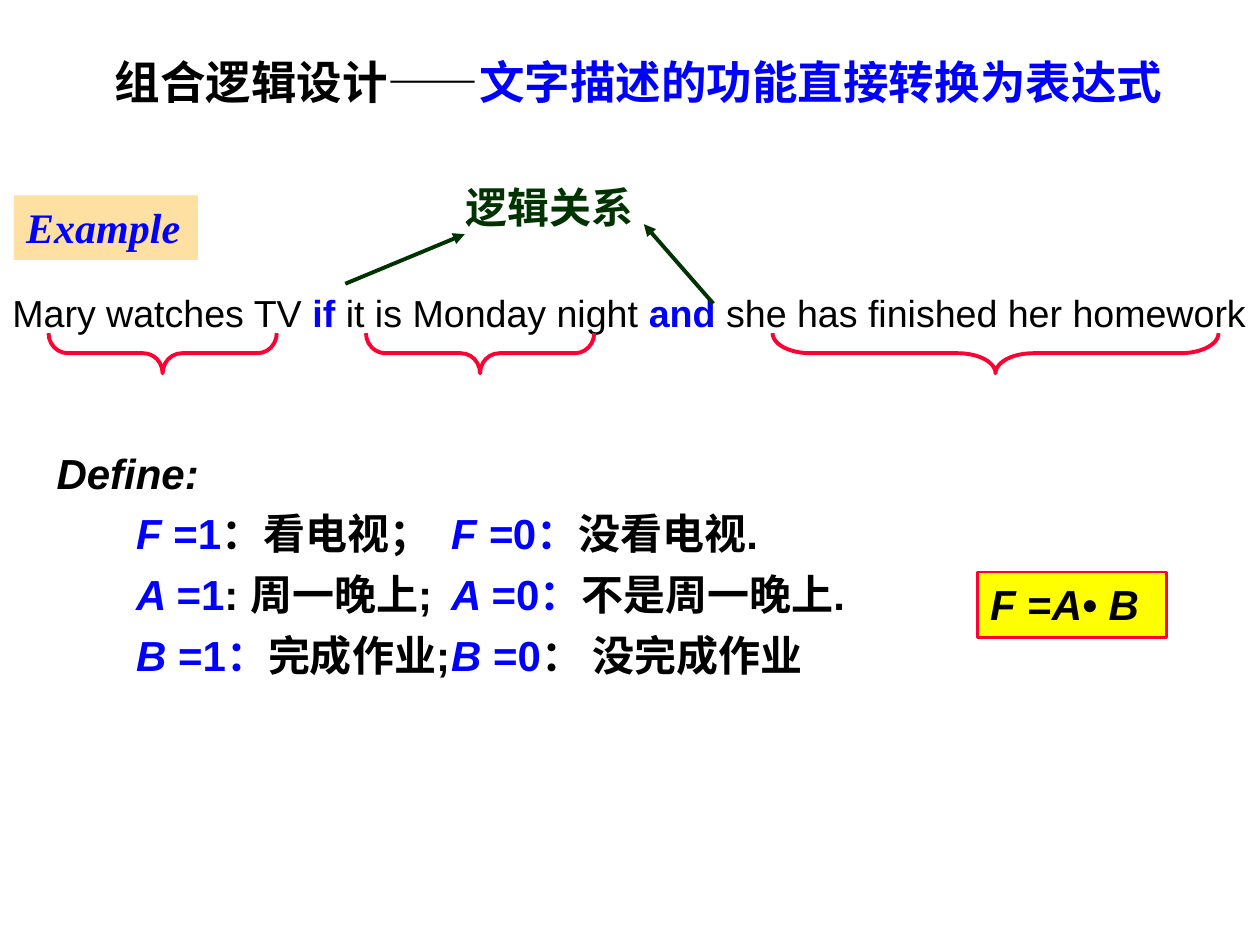
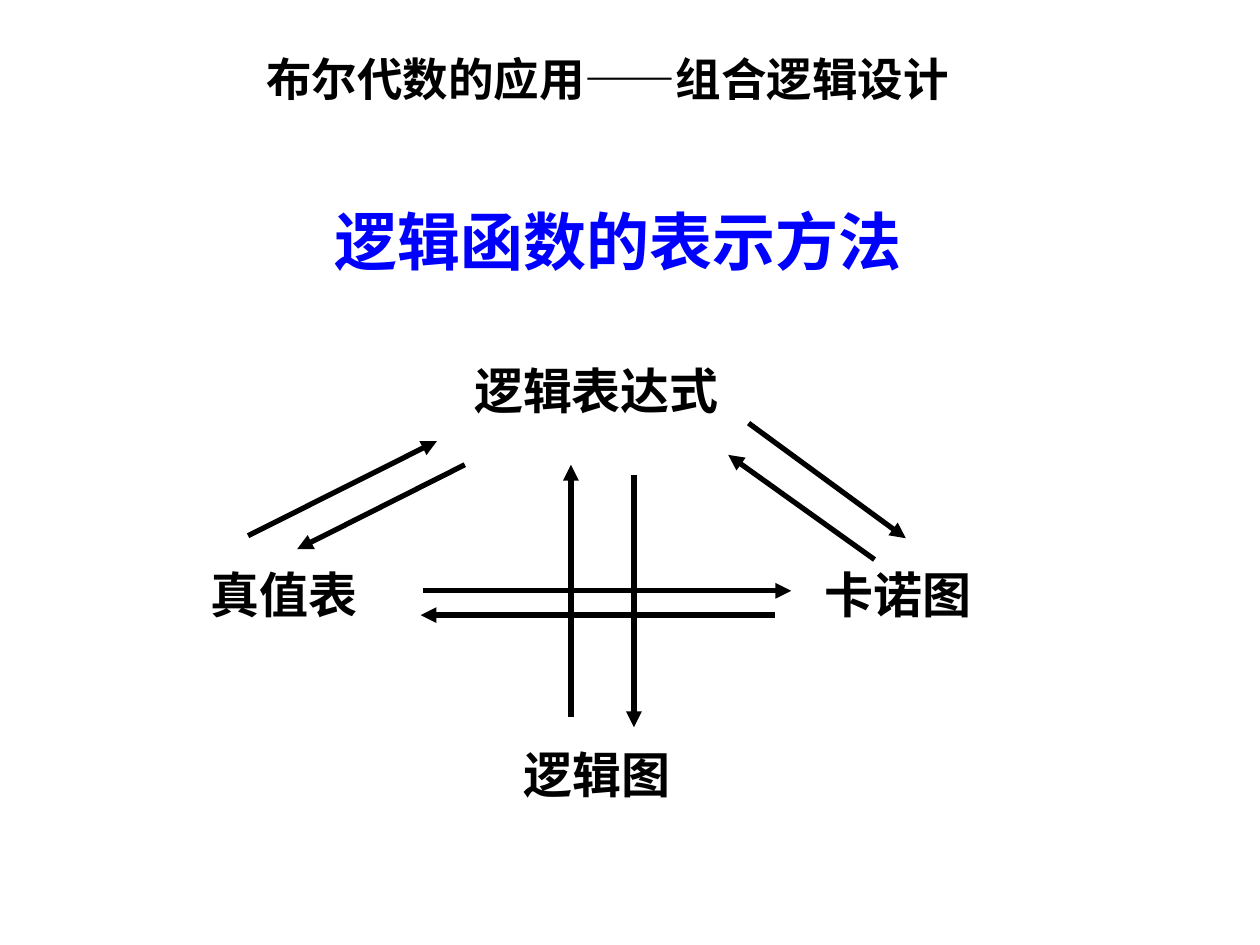
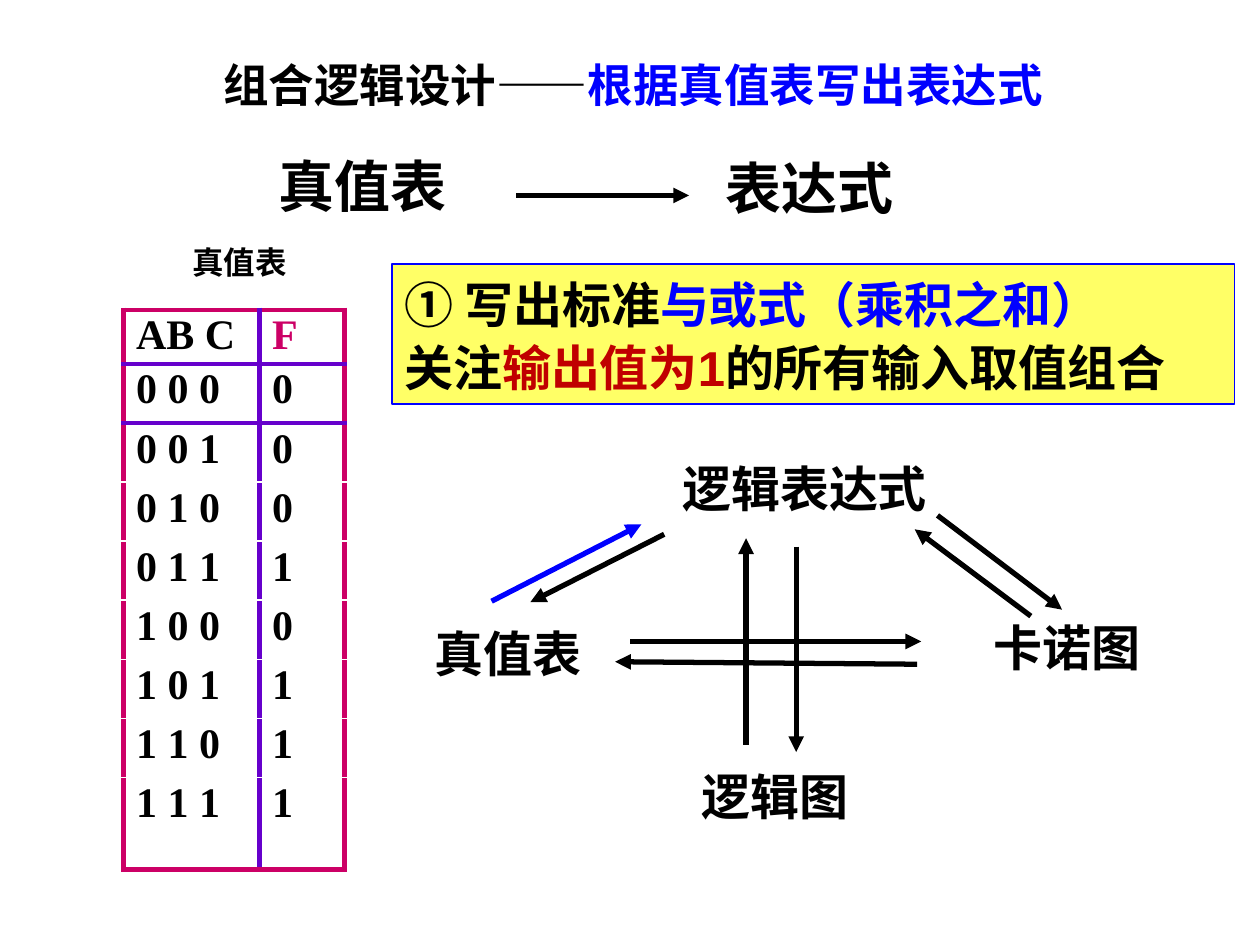
from dataclasses import dataclass
from itertools import product
from typing import Optional

from lxml.etree import SubElement
from pptx import Presentation
from pptx.dml.color import RGBColor
from pptx.enum.shapes import MSO_CONNECTOR, MSO_SHAPE
from pptx.enum.text import MSO_ANCHOR, MSO_AUTO_SIZE, PP_ALIGN
from pptx.oxml.ns import qn
from pptx.util import Cm, Pt

# Shared colours and fonts
BLACK, WHITE, BLUE = "000000", "FFFFFF", "0000FF"
GREEN, RED, DARK_RED = "003300", "FF0033", "C00000"
YELLOW, PALE_YELLOW, SAND = "FFFF00", "FFFF66", "FFE0A3"
MAGENTA, PURPLE = "CC0066", "6600CC"
SANS, SERIF, CHINESE = "Arial", "Times New Roman", "Noto Sans CJK SC"
LEFT, CENTER = PP_ALIGN.LEFT, PP_ALIGN.CENTER
TITLE_ONLY, TITLE_AND_BODY = 5, 1


@dataclass
class Span:
    """A stretch of text; None keeps the look of its paragraph."""
    text: str
    color: Optional[str] = None
    bold: Optional[bool] = None
    italic: Optional[bool] = None


@dataclass
class Style:
    size: float = 24
    color: str = BLACK
    font: str = SANS
    bold: bool = True
    italic: bool = False
    align: PP_ALIGN = LEFT


@dataclass
class Box:
    """Place and size in centimetres."""
    left: float
    top: float
    width: float
    height: float

    def lengths(self) -> tuple:
        return Cm(self.left), Cm(self.top), Cm(self.width), Cm(self.height)


@dataclass
class Label:
    box: Box
    spans: list
    style: Style


@dataclass
class Panel:
    label: Label
    fill: str
    border: Optional[str] = None
    border_width: float = 1


@dataclass
class Arrow:
    """Runs from (x1, y1) to the head at (x2, y2), in centimetres."""
    x1: float
    y1: float
    x2: float
    y2: float
    color: str = BLACK
    width: float = 3


NODE = Style(28)
NODE_CENTERED = Style(28, align=CENTER)


def rgb(color: str) -> RGBColor:
    return RGBColor.from_string(color)


# Text
def write_paragraph(paragraph, spans: list, style: Style) -> None:
    paragraph.alignment = style.align
    paragraph.space_before = Pt(0)
    font = paragraph.font
    font.size, font.name = Pt(style.size), style.font
    font.bold, font.italic = style.bold, style.italic
    font.color.rgb = rgb(style.color)
    SubElement(paragraph._p.pPr.find(qn("a:defRPr")), qn("a:ea"), typeface=CHINESE)
    for span in spans:
        run = paragraph.add_run()
        run.text = span.text
        if span.color:
            run.font.color.rgb = rgb(span.color)
        if span.bold is not None:
            run.font.bold = span.bold
        if span.italic is not None:
            run.font.italic = span.italic


def write(frame, lines: list, style: Style) -> None:
    frame.word_wrap = True
    frame.auto_size = MSO_AUTO_SIZE.NONE
    frame.vertical_anchor = MSO_ANCHOR.TOP
    for index, spans in enumerate(lines):
        paragraph = frame.add_paragraph() if index else frame.paragraphs[0]
        write_paragraph(paragraph, spans, style)


def place(shape, box: Box) -> None:
    shape.left, shape.top, shape.width, shape.height = box.lengths()


def add_titled_slide(deck, layout: int, box: Box, spans: list, align: PP_ALIGN = LEFT):
    slide = deck.slides.add_slide(deck.slide_layouts[layout])
    place(slide.shapes.title, box)
    write(slide.shapes.title.text_frame, [spans], Style(26, align=align))
    return slide


def fill_body(slide, box: Box, lines: list, tab: float) -> None:
    """Unbulleted list whose second column starts at the tab stop."""
    body = slide.placeholders[1]
    place(body, box)
    write(body.text_frame, lines, Style(24))
    for paragraph in body.text_frame.paragraphs:
        paragraph.space_after = Pt(6)
        properties = paragraph._p.pPr
        properties.set("marL", "0")
        properties.set("indent", "0")
        no_bullet = SubElement(properties, qn("a:buNone"))
        tabs = SubElement(properties, qn("a:tabLst"))
        SubElement(tabs, qn("a:tab"), pos=str(Cm(tab)), algn="l")
        default_font = properties.find(qn("a:defRPr"))
        default_font.addprevious(no_bullet)
        default_font.addprevious(tabs)


# Drawing
def draw_label(slide, label: Label) -> None:
    shape = slide.shapes.add_textbox(*label.box.lengths())
    write(shape.text_frame, [label.spans], label.style)


def draw_panel(slide, panel: Panel, *more_lines: list):
    label = panel.label
    shape = slide.shapes.add_shape(MSO_SHAPE.RECTANGLE, *label.box.lengths())
    shape.shadow.inherit = False
    shape.fill.solid()
    shape.fill.fore_color.rgb = rgb(panel.fill)
    if panel.border:
        shape.line.color.rgb = rgb(panel.border)
        shape.line.width = Pt(panel.border_width)
    else:
        shape.line.fill.background()
    write(shape.text_frame, [label.spans, *more_lines], label.style)
    return shape


def draw_arrow(slide, arrow: Arrow) -> None:
    connector = slide.shapes.add_connector(
        MSO_CONNECTOR.STRAIGHT,
        Cm(arrow.x1), Cm(arrow.y1), Cm(arrow.x2), Cm(arrow.y2))
    connector.line.color.rgb = rgb(arrow.color)
    connector.line.width = Pt(arrow.width)
    SubElement(connector.line._ln, qn("a:tailEnd"), type="triangle")
    SubElement(connector._element.spPr, qn("a:effectLst"))


def draw_brace(slide, center: float, span: float, curve: float) -> None:
    """Brace under the sentence, a left brace turned to point down."""
    depth, middle = 0.81, 7.12
    box = Box(center - depth / 2, middle - span / 2, depth, span)
    brace = slide.shapes.add_shape(MSO_SHAPE.LEFT_BRACE, *box.lengths())
    brace.rotation = 270
    brace.adjustments[0] = curve
    brace.shadow.inherit = False
    brace.fill.background()
    brace.line.color.rgb = rgb(RED)
    brace.line.width = Pt(2.25)


def draw_diagram(slide, nodes: list, arrows: list) -> None:
    for node in nodes:
        draw_label(slide, node)
    for arrow in arrows:
        draw_arrow(slide, arrow)


def draw_border(cell, side: str, color: str) -> None:
    line = SubElement(cell._tc.get_or_add_tcPr(), qn(f"a:{side}"), w=str(Pt(3)))
    SubElement(SubElement(line, qn("a:solidFill")), qn("a:srgbClr"), val=color)


def draw_truth_table(slide) -> None:
    rows = [("AB C", "F")]
    for inputs in product((0, 1), repeat=3):
        rows.append((" ".join(map(str, inputs)), str(int(sum(inputs) >= 2))))
    last = len(rows) - 1
    box = Box(2.49, 6.25, 4.45, 11.28)
    table = slide.shapes.add_table(len(rows), 2, *box.lengths()).table
    table.first_row = table.horz_banding = False
    table.columns[0].width, table.columns[1].width = Cm(2.74), Cm(1.71)
    for r, values in enumerate(rows):
        table.rows[r].height = Cm({0: 1.09, last: 1.86}.get(r, 1.19))
        for c, value in enumerate(values):
            cell = table.cell(r, c)
            cell.margin_top = cell.margin_bottom = Cm(0.05)
            color = MAGENTA if (r, c) == (0, 1) else BLACK
            write_paragraph(cell.text_frame.paragraphs[0], [Span(value)],
                            Style(24, color, SERIF))
            draw_border(cell, "lnL", PURPLE if c else MAGENTA)
            draw_border(cell, "lnR", MAGENTA if c else PURPLE)
            if r < 2:
                draw_border(cell, "lnT", PURPLE if r else MAGENTA)
            if r in (0, last):
                draw_border(cell, "lnB", MAGENTA if r else PURPLE)
            cell.fill.solid()
            cell.fill.fore_color.rgb = rgb(WHITE)


# Slides
def build_sentence_slide(deck) -> None:
    slide = add_titled_slide(
        deck, TITLE_AND_BODY, Box(2.06, 0.97, 23.34, 1.36),
        [Span("组合逻辑设计——"), Span("文字描述的功能直接转换为表达式", BLUE)])

    # Sentence with its parts marked
    draw_label(slide, Label(
        Box(0, 5.72, 26.11, 1.19),
        [Span("Mary watches TV "), Span("if", BLUE, True),
         Span(" it is Monday night "), Span("and", BLUE, True),
         Span(" she has finished her homework")],
        Style(21.5, bold=False)))
    for center, span, curve in ((3.28, 4.6, 0.48), (9.68, 4.6, 0.48), (20.07, 8.99, 0.94)):
        draw_brace(slide, center, span, curve)
    draw_label(slide, Label(Box(7.98, 3.53, 6.2, 1.27), [Span("逻辑关系")],
                            Style(24, GREEN, align=CENTER)))
    draw_arrow(slide, Arrow(6.96, 5.72, 9.37, 4.72, GREEN, 2.25))
    draw_arrow(slide, Arrow(14.38, 6.12, 12.98, 4.52, GREEN, 2.25))

    # Definitions of the variables
    draw_label(slide, Label(Box(0.89, 8.89, 4.19, 1.27), [Span("Define:")],
                            Style(24, italic=True)))
    fill_body(slide, Box(2.49, 10.11, 17.81, 4.37), [
        [Span("F ", BLUE, italic=True), Span("=1", BLUE), Span("：看电视；\t"),
         Span("F =", BLUE, italic=True), Span("0：", BLUE), Span("没看电视.")],
        [Span("A ", BLUE, italic=True), Span("=1", BLUE), Span(": 周一晚上;\t"),
         Span("A ", BLUE, italic=True), Span("=0：", BLUE), Span("不是周一晚上.")],
        [Span("B ", BLUE, italic=True), Span("=1：", BLUE), Span("完成作业;\t"),
         Span("B ", BLUE, italic=True), Span("=0", BLUE), Span("： 没完成作业")],
    ], tab=7.2)

    # Formula and example tag
    draw_panel(slide, Panel(
        Label(Box(19.71, 11.53, 3.81, 1.32),
              [Span("F "), Span("=", italic=False), Span("A• B")],
              Style(24, italic=True)), YELLOW, RED, 1.5))
    draw_panel(slide, Panel(
        Label(Box(0.28, 3.94, 3.71, 1.3), [Span("Example")],
              Style(24, BLUE, SERIF, italic=True)), SAND))


def build_methods_slide(deck) -> None:
    slide = add_titled_slide(deck, TITLE_ONLY, Box(5.11, 0.91, 15.19, 1.36),
                             [Span("布尔代数的应用——组合逻辑设计")])
    draw_label(slide, Label(Box(4.78, 3.96, 15.37, 1.8), [Span("逻辑函数的表示方法")],
                            Style(36, BLUE, CHINESE, align=CENTER)))
    draw_diagram(slide, [
        Label(Box(8.53, 7.14, 6.99, 1.45), [Span("逻辑表达式")], NODE_CENTERED),
        Label(Box(10.31, 14.88, 5.08, 1.45), [Span("逻辑图")], NODE),
        Label(Box(3.99, 11.25, 4.93, 1.45), [Span("真值表")], NODE),
        Label(Box(16.38, 11.25, 4.83, 1.45), [Span("卡诺图")], NODE),
    ], [
        Arrow(11.51, 14.45, 11.51, 9.37),
        Arrow(12.78, 9.58, 12.78, 14.66),
        Arrow(8.53, 11.91, 15.95, 11.91),
        Arrow(15.62, 12.4, 8.48, 12.4),
        Arrow(5, 10.8, 8.81, 8.89),
        Arrow(9.37, 9.37, 5.99, 11.07),
        Arrow(15.09, 8.53, 18.26, 10.85),
        Arrow(17.63, 11.28, 14.68, 9.17),
    ])


def build_truth_table_slide(deck) -> None:
    slide = add_titled_slide(
        deck, TITLE_ONLY, Box(0.13, 1.02, 25.27, 1.36),
        [Span("组合逻辑设计——"), Span("根据真值表写出表达式", BLUE)], CENTER)

    # Diagram of the conversions
    draw_diagram(slide, [
        Label(Box(12.7, 9.12, 7.04, 1.45), [Span("逻辑表达式")], NODE_CENTERED),
        Label(Box(13.89, 15.32, 4.78, 1.45), [Span("逻辑图")], NODE),
        Label(Box(8.51, 12.45, 4.45, 1.45), [Span("真值表")], NODE),
        Label(Box(18.9, 12.32, 5.21, 1.45), [Span("卡诺图")], NODE_CENTERED),
    ], [
        Arrow(15.04, 15.01, 15.04, 10.85),
        Arrow(16.05, 11.02, 16.05, 15.16),
        Arrow(12.7, 12.93, 18.57, 12.93),
        Arrow(18.49, 13.39, 12.4, 13.34),
        Arrow(9.91, 12.12, 12.93, 10.57, BLUE),
        Arrow(13.39, 10.77, 10.69, 12.14),
        Arrow(18.9, 10.39, 21.41, 12.29),
        Arrow(20.78, 12.42, 18.44, 10.67),
    ])

    # Heading: from table to expression
    heading = Style(32, font=SERIF)
    draw_label(slide, Label(Box(5.37, 2.92, 8.04, 1.6), [Span("真值表")], heading))
    draw_label(slide, Label(Box(14.38, 2.97, 5.74, 1.63), [Span("表达式")], heading))
    draw_arrow(slide, Arrow(10.41, 3.94, 13.89, 3.94))

    # Truth table and its caption
    draw_truth_table(slide)
    draw_label(slide, Label(Box(2.92, 4.78, 3.81, 1.02), [Span("真值表")],
                            Style(18, font=SERIF, align=CENTER)))

    # First step
    step = draw_panel(
        slide,
        Panel(Label(Box(7.9, 5.33, 16.99, 2.82),
                    [Span("① 写出标准"), Span("与或式（乘积之和）", BLUE)], NODE),
              PALE_YELLOW, BLUE),
        [Span("关注"), Span("输出值为1", DARK_RED), Span("的所有输入取值组合")])
    for paragraph in step.text_frame.paragraphs:
        paragraph.line_spacing = Pt(36)


def main() -> None:
    deck = Presentation()
    deck.slide_width, deck.slide_height = Cm(25.4), Cm(19.05)
    build_sentence_slide(deck)
    build_methods_slide(deck)
    build_truth_table_slide(deck)
    deck.save("out.pptx")


if __name__ == "__main__":
    main()
